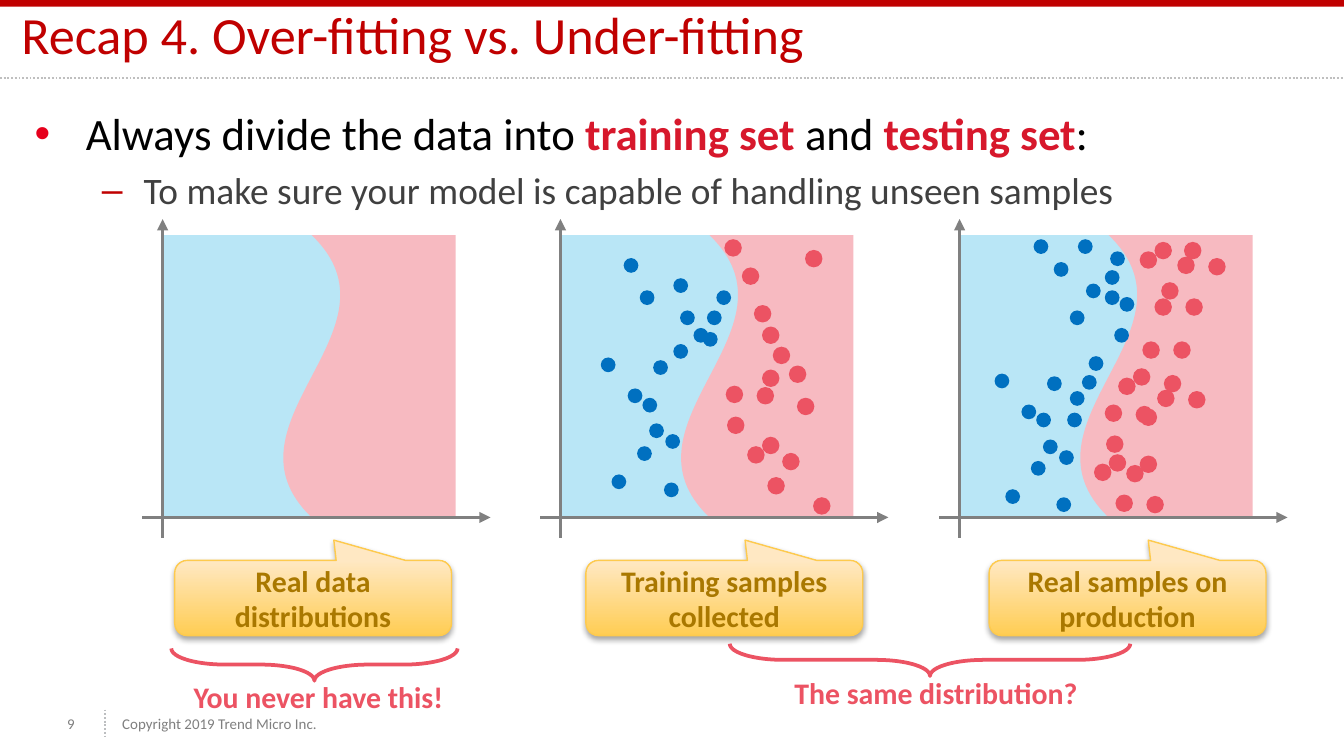
from lxml.etree import SubElement
from pptx import Presentation
from pptx.dml.color import RGBColor
from pptx.enum.dml import MSO_LINE
from pptx.enum.shapes import MSO_CONNECTOR, MSO_SHAPE
from pptx.enum.text import MSO_ANCHOR, PP_ALIGN
from pptx.oxml.ns import qn
from pptx.util import Inches, Pt

COLORS = {
    "title": "C00000", "bullet": "E6001C", "emphasis": "D7182C",
    "black": "000000", "subtext": "404040", "footer": "7F7F7F", "white": "FFFFFF",
    "footer_rule": "BCBEC0", "title_rule": "BFBFBF", "axis": "808080",
    "blue_area": "B9E6F6", "red_area": "F7BAC1",
    "blue_dot": "0070C0", "red": "EC5363",
    "callout_dark": "FFCD53", "callout_light": "FFE8C3",
    "callout_line": "FECA4D", "callout_text": "A97800",
}
RGB = {name: RGBColor.from_string(value) for name, value in COLORS.items()}

presentation = Presentation()
presentation.slide_width = Inches(10)
presentation.slide_height = Inches(10 * 9 / 16)
slide = presentation.slides.add_slide(presentation.slide_layouts[6])


def add_shape(kind, left, top, width, height, fill=None, line=None, line_width=1):
    """Add a preset shape without shadow; no fill or line unless a colour is named."""
    shape = slide.shapes.add_shape(
        kind, Inches(left), Inches(top), Inches(width), Inches(height))
    shape.shadow.inherit = False
    if fill:
        shape.fill.solid()
        shape.fill.fore_color.rgb = RGB[fill]
    else:
        shape.fill.background()
    if line:
        shape.line.color.rgb = RGB[line]
        shape.line.width = Pt(line_width)
    else:
        shape.line.fill.background()
    return shape


def add_run(paragraph, text, size, color, bold=False):
    run = paragraph.add_run()
    run.text = text
    run.font.name = "Calibri"
    run.font.size = Pt(size)
    run.font.bold = bold
    run.font.color.rgb = RGB[color]


# Top bar, and the three data spaces: blue area, wavy red area, white cover on the right
add_shape(MSO_SHAPE.RECTANGLE, 0, 0, 10, 0.05, "title")
axis_lefts = [1.21, 4.17, 7.14]
for left in axis_lefts:
    add_shape(MSO_SHAPE.RECTANGLE, left, 1.75, 2.18, 2.1, "blue_area")
    wave = add_shape(MSO_SHAPE.WAVE, left + 0.72, 1.92, 2.1, 1.76, "red_area")
    wave.rotation = 270
    add_shape(MSO_SHAPE.RECTANGLE, left + 2.18, 1.75, 0.47, 2.1, "white")

# Dotted rules and axis arrows: x1, y1, x2, y2, colour, is an axis
lines = [(0.78, 5.28, 0.78, 5.48, "footer_rule", False),
         (0, 0.58, 10, 0.58, "title_rule", False)]
for left in axis_lefts:
    lines.append((left, 4, left, 1.63, "axis", True))
    lines.append((left - 0.15, 3.85, left + 2.44, 3.85, "axis", True))
for x1, y1, x2, y2, color, is_axis in lines:
    connector = slide.shapes.add_connector(
        MSO_CONNECTOR.STRAIGHT, Inches(x1), Inches(y1), Inches(x2), Inches(y2))
    connector.line.color.rgb = RGB[color]
    connector.line.width = Pt(2 if is_axis else 1)
    properties = connector.element.spPr
    if is_axis:
        SubElement(properties.find(qn("a:ln")), qn("a:tailEnd"), type="triangle")
    else:
        connector.line.dash_style = MSO_LINE.ROUND_DOT
    SubElement(properties, qn("a:effectLst"))

# Samples: left and top of each dot
training_blue = [
    (5.26, 2.31), (5.16, 2.44), (5.06, 2.31), (5.01, 2.56), (4.55, 3.53),
    (5.33, 2.16), (5.01, 2.07), (4.76, 2.16), (4.86, 2.68), (4.78, 2.96),
    (4.67, 2.89), (4.83, 3.15), (4.95, 3.23), (4.74, 3.32), (4.94, 3.59),
    (5.23, 2.47), (4.64, 1.92), (4.47, 2.66)]
training_red = [
    (5.4, 2.87), (5.41, 3.1), (5.67, 3.25), (5.56, 3.32), (5.87, 2.72),
    (5.63, 2.88), (5.75, 2.58), (5.67, 2.43), (5.61, 2.27), (5.52, 1.99),
    (5.82, 3.37), (5.93, 2.96), (5.99, 1.86), (5.71, 3.55), (5.67, 2.75),
    (6.05, 3.7), (5.39, 1.78)]
production_blue = [
    (7.48, 3.64), (7.79, 2.8), (7.71, 3.07), (7.6, 3.01), (7.76, 3.27),
    (7.88, 3.35), (7.67, 3.43), (7.86, 3.7), (7.4, 2.78), (8.1, 2.65),
    (8.22, 2.01), (8.29, 2.44), (8.02, 1.78), (7.96, 2.91), (8.05, 2.79),
    (7.94, 3.07), (7.69, 1.78), (7.84, 1.95), (8.33, 2.21), (8.08, 2.11),
    (8.26, 1.87), (7.96, 2.31), (8.22, 2.16)]
production_red = [
    (8.22, 3.01), (8.23, 3.24), (8.48, 3.39), (8.38, 3.46), (8.45, 3.02),
    (8.53, 3.69), (8.25, 3.38), (8.14, 3.45), (8.3, 3.68), (8.82, 2.22),
    (8.59, 2.22), (8.73, 2.54), (8.5, 2.54), (8.43, 2.74), (8.32, 2.81),
    (8.48, 3.04), (8.59, 1.8), (8.48, 1.87), (8.64, 2.1), (8.84, 2.91),
    (8.61, 2.9), (8.66, 2.79), (8.99, 1.92), (8.76, 1.91), (8.81, 1.8)]
for dots, size, color in [
        (training_blue, 0.11, "blue_dot"), (training_red, 0.13, "red"),
        (production_blue, 0.11, "blue_dot"), (production_red, 0.13, "red")]:
    for left, top in dots:
        add_shape(MSO_SHAPE.OVAL, left, top, size, size, color)

# Callouts
for left, label in [(1.3, "Real data distributions"),
                    (4.36, "Training samples collected"),
                    (7.36, "Real samples on production")]:
    callout = add_shape(MSO_SHAPE.ROUNDED_RECTANGULAR_CALLOUT, left, 4.17, 2.06, 0.56,
                        line="callout_line", line_width=0.75)
    callout.adjustments[0] = 0.075
    callout.adjustments[1] = -0.77
    callout.fill.gradient()
    callout.fill.gradient_angle = 90
    for stop, color, position in zip(callout.fill.gradient_stops,
                                     ("callout_dark", "callout_light"), (0, 1)):
        stop.color.rgb = RGB[color]
        stop.position = position
    effects = callout.element.spPr.find(qn("a:effectLst"))
    shadow = SubElement(effects, qn("a:outerShdw"), blurRad=str(Pt(3.1)),
                        dist=str(Pt(1.8)), dir="5400000", rotWithShape="0")
    shadow_color = SubElement(shadow, qn("a:srgbClr"), val=COLORS["black"])
    SubElement(shadow_color, qn("a:alpha"), val="35000")
    frame = callout.text_frame
    frame.word_wrap = True
    frame.vertical_anchor = MSO_ANCHOR.MIDDLE
    frame.paragraphs[0].alignment = PP_ALIGN.CENTER
    add_run(frame.paragraphs[0], label, 16, "callout_text", True)

# Braces under the callouts
for left, top, height in [(6.8, 3.42, 2.98), (2.22, 3.88, 2.13)]:
    brace = add_shape(MSO_SHAPE.LEFT_BRACE, left, top, 0.24, height,
                      line="red", line_width=2)
    brace.rotation = 270
    brace.adjustments[0] = 1.665

# Single-line texts: box, text, size, colour, bold, alignment, anchor, bottom inset, wrap
left_aligned, centered = PP_ALIGN.LEFT, PP_ALIGN.CENTER
top_anchor, middle, bottom = MSO_ANCHOR.TOP, MSO_ANCHOR.MIDDLE, MSO_ANCHOR.BOTTOM
for box, text, size, color, bold, alignment, anchor, inset, wrap in [
        ((0.16, 0.03, 9.62, 0.55), "Recap 4. Over-fitting vs. Under-fitting",
         28, "title", False, left_aligned, bottom, 0.1, True),
        ((5.16, 5.02, 3.61, 0.27), "The same distribution?",
         16, "red", True, centered, top_anchor, 0, True),
        ((1.08, 5.05, 2.58, 0.27), "You never have this!",
         16, "red", True, centered, top_anchor, 0, True),
        ((0.5, 5.23, 0.25, 0.31), "9",
         8, "footer", False, left_aligned, middle, 0, False),
        ((0.91, 5.23, 1.67, 0.31), "Copyright 2019 Trend Micro Inc.",
         8, "footer", False, left_aligned, middle, 0, False)]:
    frame = slide.shapes.add_textbox(*map(Inches, box)).text_frame
    frame.word_wrap = wrap
    frame.vertical_anchor = anchor
    frame.margin_left = frame.margin_right = frame.margin_top = 0
    frame.margin_bottom = Inches(inset)
    frame.paragraphs[0].alignment = alignment
    add_run(frame.paragraphs[0], text, size, color, bold)

# Bulleted body
body = slide.shapes.add_textbox(
    Inches(0.16), Inches(0.74), Inches(9.62), Inches(4.33)).text_frame
body.word_wrap = True
main_point, sub_point = body.paragraphs[0], body.add_paragraph()
sub_point.level = 1
sub_point.space_before = Pt(4)
for paragraph, margin, indent, bullet, color in [
        (main_point, 0.38, -0.38, "•", "bullet"),
        (sub_point, 0.81, -0.31, "–", "title")]:
    properties = paragraph._p.get_or_add_pPr()
    properties.set("marL", str(Inches(margin)))
    properties.set("indent", str(Inches(indent)))
    bullet_color = SubElement(properties, qn("a:buClr"))
    SubElement(bullet_color, qn("a:srgbClr"), val=COLORS[color])
    SubElement(properties, qn("a:buFont"), typeface="Arial")
    SubElement(properties, qn("a:buChar"), char=bullet)
for text, emphasized in [("Always divide the data into ", False), ("training set", True),
                         (" and ", False), ("testing set", True), (":", False)]:
    add_run(main_point, text, 24, "emphasis" if emphasized else "black", emphasized)
add_run(sub_point, "To make sure your model is capable of handling unseen samples",
        20, "subtext")

presentation.save("out.pptx")
